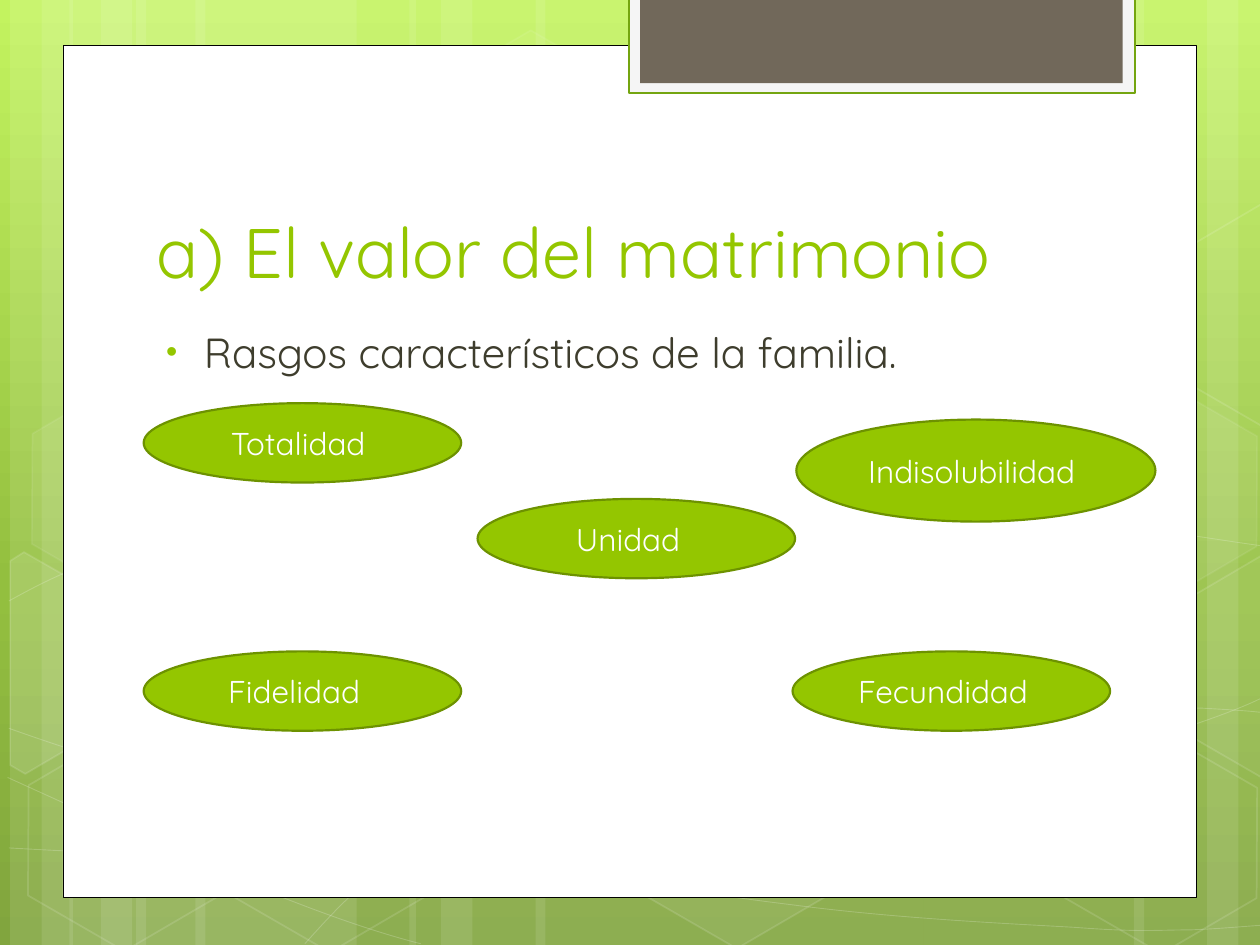
from copy import deepcopy
from dataclasses import dataclass
from math import cos, radians, sin
from typing import Optional

from pptx import Presentation
from pptx.dml.color import RGBColor
from pptx.enum.shapes import MSO_SHAPE as Shape
from pptx.enum.text import MSO_ANCHOR as Anchor, PP_ALIGN as Align
from pptx.oxml.ns import qn
from pptx.util import Emu, Inches, Pt
from lxml.etree import SubElement

# Grid of 100 columns by 75 rows, with square cells
COLUMNS, ROWS = 100, 75
CELL = Inches(0.1)
TILT = 30  # degrees, for every hexagon
FONT = "Quicksand"
COLOURS = {
    "white": "FFFFFF", "black": "000000", "lime": "94C600", "olive": "6D9200",
    "ink": "3E3D2D", "tab": "71685A", "tab_frame": "F5F5F5", "tab_line": "74A510",
    "sky": "C3F35F", "meadow": "93BF3F", "ground": "81A53E",
}


@dataclass
class Style:
    fill: Optional[str] = None
    line: Optional[str] = None
    width: float = 1
    fill_alpha: int = 100
    line_alpha: int = 100


@dataclass
class Box:
    left: float
    top: float
    width: float
    height: float

    def emu(self) -> list[Emu]:
        return [cells(v) for v in (self.left, self.top, self.width, self.height)]


@dataclass
class Hexagon:
    left: float
    top: float
    fill_alpha: int = 0
    line_alpha: int = 12


@dataclass
class CutHexagon:
    corners: list[tuple[float, float]]  # as seen after the tilt
    centre: tuple[float, float]
    fill_alpha: int = 0


@dataclass
class Trait:
    name: str
    box: Box
    extra_right: float  # cells added to the right inset


def cells(value: float) -> Emu:
    return Emu(round(value * CELL))


def rgb(name: str) -> RGBColor:
    return RGBColor.from_string(COLOURS[name])


def set_colour(fill, name: Optional[str], alpha: int) -> None:
    if name is None or alpha == 0:
        fill.background()
        return
    fill.solid()
    fill.fore_color.rgb = rgb(name)
    if alpha < 100:
        colour = fill._xPr.find(f"{qn('a:solidFill')}/{qn('a:srgbClr')}")
        SubElement(colour, qn("a:alpha")).set("val", str(alpha * 1000))


def paint(shape, style: Style):
    shape.shadow.inherit = False
    set_colour(shape.fill, style.fill, style.fill_alpha)
    set_colour(shape.line.fill, style.line, style.line_alpha)
    if style.line:
        shape.line.width = Pt(style.width)
    return shape


def add_preset(slide, preset, box: Box, style: Style):
    return paint(slide.shapes.add_shape(preset, *box.emu()), style)


def add_outline(slide, points, style: Style, close: bool):
    start, *rest = [(cells(x), cells(y)) for x, y in points]
    builder = slide.shapes.build_freeform(*start)
    builder.add_line_segments(rest, close=close)
    return paint(builder.convert_to_shape(), style)


def add_curve(slide, points, style: Style) -> None:
    """Draw cubic curves: a start, then two handles and an end for each."""
    curve = add_outline(slide, points, style, close=False)
    track = curve._element.find(f".//{qn('a:path')}")
    legs = track.findall(qn("a:lnTo"))
    for i in range(0, len(legs), 3):
        bezier = SubElement(track, qn("a:cubicBezTo"))
        for leg in legs[i:i + 3]:
            bezier.append(leg[0])
            track.remove(leg)


def untilt(point, centre) -> tuple[float, float]:
    dx, dy = point[0] - centre[0], point[1] - centre[1]
    c, s = cos(radians(TILT)), sin(radians(TILT))
    return centre[0] + dx * c + dy * s, centre[1] - dx * s + dy * c


def write(shape, text: str, *, size: float, colour: str, align=Align.LEFT,
          anchor=Anchor.TOP, before: float = 0, extra_right: float = 0):
    frame = shape.text_frame
    frame.word_wrap = True
    frame.vertical_anchor = anchor
    frame.margin_right = cells(1 + extra_right)
    paragraph = frame.paragraphs[0]
    paragraph.alignment = align
    paragraph.space_before = Pt(before)
    run = paragraph.add_run()
    run.text = text
    run.font.name, run.font.size = FONT, Pt(size)
    run.font.color.rgb = rgb(colour)
    return paragraph


def add_bullet(paragraph, colour: str, percent: int, margin: float, indent: float) -> None:
    props = paragraph._p.get_or_add_pPr()
    props.set("marL", str(cells(margin)))
    props.set("indent", str(cells(indent)))
    SubElement(SubElement(props, qn("a:buClr")), qn("a:srgbClr")).set("val", COLOURS[colour])
    SubElement(props, qn("a:buSzPct")).set("val", str(percent * 1000))
    SubElement(props, qn("a:buFont")).set("typeface", "Arial")
    SubElement(props, qn("a:buChar")).set("char", "•")


def add_gradient(slide) -> None:
    fill = slide.background.fill
    fill.gradient()
    fill.gradient_angle = 270
    stop_list = slide.element.find(f".//{qn('a:gsLst')}")
    stop_list.append(deepcopy(stop_list[0]))
    for stop, (place, name) in zip(fill.gradient_stops,
                                   ((0, "sky"), (0.62, "meadow"), (1, "ground"))):
        stop.position = place
        stop.color.rgb = rgb(name)


# Backdrop: each left band is a wide, a narrow and a medium strip
BANDS = [(0.8, 17.5), (5.5, 17.5), (32.5, 30.8)]
STRIPS = [strip for left, wide in BANDS
          for strip in ((left + 10, wide), (left, 5), (left + 2.5, 8.3))]
STRIPS[6:6] = [(73.3, 17.5), (95.8, 5), (90, 8.3)]
CURVES = [
    [(0.7, 67.3), (6.1, 67.6), (11.5, 67.9), (19, 67.8), (26.5, 67.7), (35.8, 67.5),
     (45.8, 66.5), (55.8, 65.5), (70, 63.6), (79.2, 61.7), (88.3, 59.8), (97.7, 56.8),
     (100.7, 55.1)],
    [(0.7, 47.7), (3.6, 46.1), (6.5, 44.6), (12.1, 43.1), (17.8, 41.6), (25.9, 39.4),
     (34.7, 38.7), (43.6, 38), (54.4, 37.9), (65.4, 38.7), (76.4, 39.5), (94.7, 42.6),
     (100.7, 43.4)],
    [(0.6, 61.7), (12.7, 67.2), (24.7, 72.7), (33.4, 74.9)],
    [(0.7, 57.8), (3.8, 58.9), (7, 60), (12.8, 61.6), (18.6, 63.1), (27.3, 65.6),
     (35.7, 67.3), (44, 69), (54.5, 70.8), (62.8, 71.8), (71.1, 72.9), (80, 73.3),
     (85.3, 73.6), (90.5, 74), (91.9, 73.8), (94.5, 73.8), (97.1, 73.7), (98.9, 73.5),
     (100.7, 73.4)],
    [(24.2, 74.9), (26, 72.9), (27.8, 70.9), (30.2, 69.1), (32.6, 67.3), (36, 65.3),
     (38.8, 63.9), (41.6, 62.5), (43.3, 61.9), (47, 60.9), (50.6, 59.9), (57.3, 58.5),
     (60.8, 57.8), (64.4, 57.1), (64.9, 57.1), (68, 56.9), (71.1, 56.6), (76, 56.3),
     (79.4, 56.2), (82.9, 56.1), (88.6, 56.2), (88.6, 56.2), (88.6, 56.2), (95.3, 56.2),
     (95.3, 56.2), (97.1, 56.3), (98.8, 56.4), (99.7, 56.5), (100.6, 56.6), (100.3, 56.5),
     (100.6, 56.6)],
]
HEXAGONS = [
    Hexagon(33.4, 3.6, 4, 8), Hexagon(49.7, 58.9, 6), Hexagon(1.1, 59.1),
    Hexagon(1.4, 31.2, 7, 8), Hexagon(17.4, 59.2), Hexagon(75.3, 45.3, 10),
    Hexagon(83.4, 59.3), Hexagon(83.4, 31.4, 7, 8),
]
LEFT_CUT = [(0.8, 44.5), (1.9, 43.8), (9.6, 48.2), (9.5, 57), (2, 61.4), (0.8, 60.7)]
RIGHT_CUT = [(92.6, 48.5), (100.1, 44.1), (100.9, 44.6), (100.9, 61.3), (100.2, 61.7),
             (92.6, 57.3)]
UPPER_CUT = [(x, y - 27.9) for x, y in RIGHT_CUT]
CUT_HEXAGONS = [CutHexagon(LEFT_CUT, (3.6, 53.5), 10), CutHexagon(RIGHT_CUT, (98.5, 52), 4),
                CutHexagon(UPPER_CUT, (98.5, 24.1))]

# Content
PANELS = [
    (Box(5, 3.6, 90, 67.6), Style("white", "black", 0.5)),
    (Box(49.9, -0.2, 40.2, 7.6), Style("tab_frame", "tab_line", 1.25)),
    (Box(50.8, -0.2, 38.3, 6.8), Style("tab")),
]
TRAITS = [
    Trait("Totalidad", Box(11.4, 32, 25.2, 6.3), 0.65),
    Trait("Unidad", Box(37.9, 39.6, 25.2, 6.3), 1.3),
    Trait("Indisolubilidad", Box(63.2, 33.3, 28.5, 8.1), 0.65),
    Trait("Fidelidad", Box(11.4, 51.7, 25.2, 6.3), 1.3),
    Trait("Fecundidad", Box(62.9, 51.7, 25.2, 6.3), 1.3),
]


def draw_backdrop(slide) -> None:
    add_gradient(slide)
    for left, width in STRIPS:
        add_preset(slide, Shape.RECTANGLE, Box(left, 0, width, ROWS),
                   Style("white", fill_alpha=10))
    for curve in CURVES:
        add_curve(slide, curve, Style(line="white", width=0.5, line_alpha=20))
    for item in HEXAGONS:
        hexagon = add_preset(slide, Shape.HEXAGON, Box(item.left, item.top, 17.5, 15.2),
                             Style("white", "white", 1, item.fill_alpha, item.line_alpha))
        hexagon.adjustments[0] = 0.285
        hexagon.rotation = TILT
    for cut in CUT_HEXAGONS:
        corners = [untilt(corner, cut.centre) for corner in cut.corners]
        add_outline(slide, corners, Style("white", "white", 1, cut.fill_alpha, 12),
                    close=True).rotation = TILT
    for box, style in PANELS:
        add_preset(slide, Shape.RECTANGLE, box, style)


def draw_content(slide) -> None:
    title = slide.shapes.add_textbox(*Box(11.4, 11.2, 76.8, 12.5).emu())
    write(title, "a) El valor del matrimonio", size=40, colour="lime", anchor=Anchor.BOTTOM)
    intro = slide.shapes.add_textbox(*Box(11.4, 25.4, 74.1, 38.4).emu())
    feature = write(intro, "Rasgos característicos de la familia.", size=24, colour="ink",
                    before=4.8)
    add_bullet(feature, "lime", percent=76, margin=3.8, indent=-3)
    for trait in TRAITS:
        oval = add_preset(slide, Shape.OVAL, trait.box, Style("lime", "olive", 1.25))
        write(oval, trait.name, size=18, colour="white", align=Align.CENTER,
              anchor=Anchor.MIDDLE, extra_right=trait.extra_right)


def main() -> None:
    deck = Presentation()
    deck.slide_width, deck.slide_height = cells(COLUMNS), cells(ROWS)
    slide = deck.slides.add_slide(deck.slide_layouts[6])
    draw_backdrop(slide)
    draw_content(slide)
    deck.save("out.pptx")


if __name__ == "__main__":
    main()
